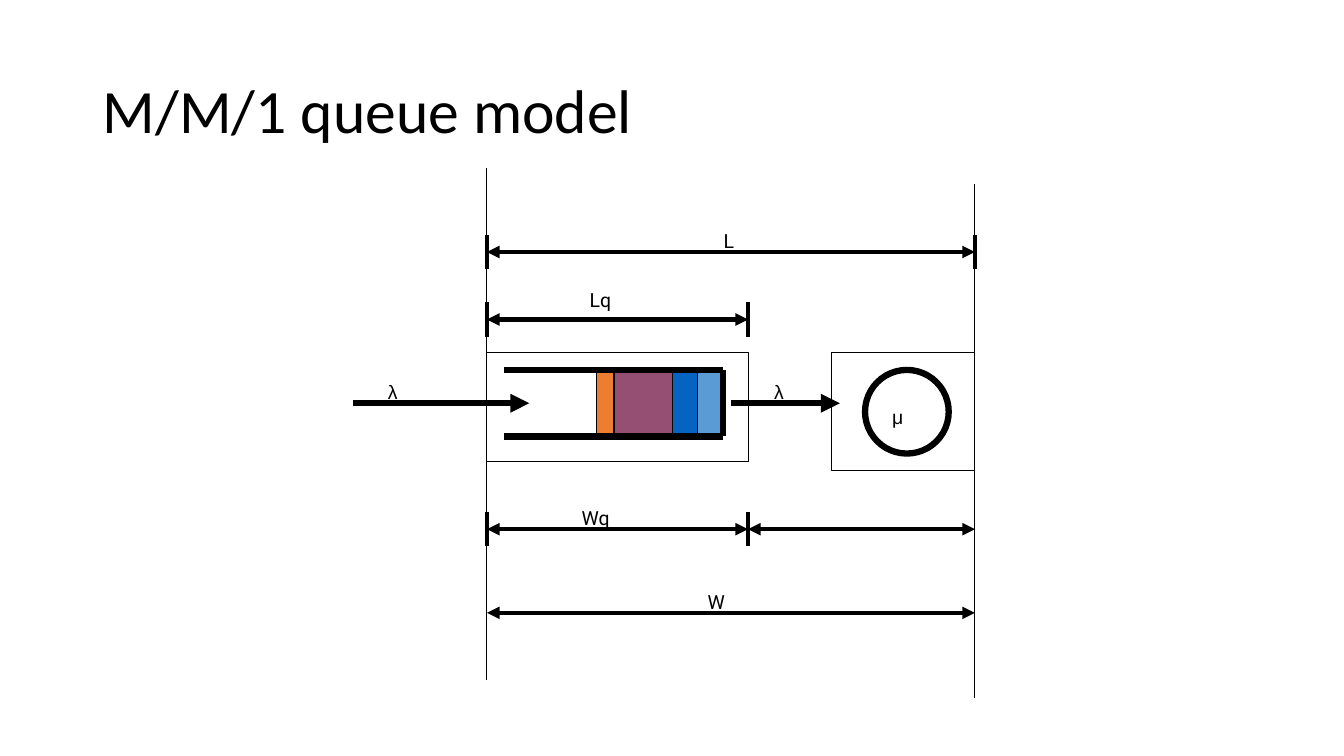
from dataclasses import dataclass

from lxml import etree
from pptx import Presentation
from pptx import util as u
from pptx.dml.color import RGBColor
from pptx.enum import shapes, text
from pptx.oxml.ns import qn


@dataclass(frozen=True)
class Theme:
    """Colours, fonts, type sizes and line widths of the slide."""
    ink: str = "000000"
    jobs: tuple = ("ED7D31", "954F72", "0563C1", "5B9BD5")
    title_font: str = "Calibri"
    greek_font: str = "Arial"
    label_font: str = "Roboto"
    title_size: float = 44
    label_size: float = 24
    thin: float = 0.75
    medium: float = 3
    thick: float = 4.5


THEME = Theme()
LEFT, MIDDLE, RIGHT = 4.83, 7.42, 9.67


def add_run(p, words, size=THEME.label_size, font=THEME.label_font, color=THEME.ink, baseline=None):
    """Add formatted text to a paragraph."""
    r = p.add_run()
    r.text = words
    r.font.size = u.Pt(size)
    r.font.name = font
    r.font.color.rgb = RGBColor.from_string(color)
    if baseline is not None:
        r.font._element.set("baseline", str(baseline))


def add_label(s, words, x, y, w=0.5, h=0.5, wrap=False, **fmt):
    """Add a lowered label in a text box that fits its text."""
    tf = s.shapes.add_textbox(*map(u.Inches, (x, y, w, h))).text_frame
    tf.word_wrap = wrap
    tf.auto_size = text.MSO_AUTO_SIZE.SHAPE_TO_FIT_TEXT
    add_run(tf.paragraphs[0], words, baseline=-25000, **fmt)


def add_greek(s, letter, x, y):
    """Add a Greek rate symbol."""
    add_label(s, letter, x, y, wrap=True, font=THEME.greek_font)


def add_line(s, x1, y1, x2, y2, width=THEME.medium, ends=()):
    """Add a straight line with triangles at the named ends."""
    c = s.shapes.add_connector(shapes.MSO_CONNECTOR.STRAIGHT, *map(u.Inches, (x1, y1, x2, y2)))
    c.line.color.rgb = RGBColor.from_string(THEME.ink)
    c.line.width = u.Pt(width)
    ln = c.line._get_or_add_ln()
    for end in ends:
        etree.SubElement(ln, qn(f"a:{end}"), type="triangle")
    etree.SubElement(c._element.spPr, qn("a:effectLst"))


def add_outline(s, kind, x, y, w, h, width=THEME.thin, fill=None):
    """Add a preset shape with a black outline and an optional fill."""
    sp = s.shapes.add_shape(kind, *map(u.Inches, (x, y, w, h)))
    sp.shadow.inherit = False
    if fill:
        sp.fill.solid()
        sp.fill.fore_color.rgb = RGBColor.from_string(fill)
    else:
        sp.fill.background()
    sp.line.color.rgb = RGBColor.from_string(THEME.ink)
    sp.line.width = u.Pt(width)


def add_title(s, words, x, y, w, h):
    """Place and format the title placeholder."""
    sp = s.shapes.title
    sp.left, sp.top, sp.width, sp.height = map(u.Inches, (x, y, w, h))
    tf = sp.text_frame
    tf.vertical_anchor = text.MSO_ANCHOR.MIDDLE
    p = tf.paragraphs[0]
    p.alignment = text.PP_ALIGN.LEFT
    p.line_spacing = 0.9
    add_run(p, words, size=THEME.title_size, font=THEME.title_font)


def add_queue(s, x, y, w, h):
    """Draw the waiting line with its jobs inside a box."""
    top, bottom = y + 0.17, y + 0.83
    start, end = x + 0.17, x + 2.34
    job_x = x + 1.09
    for job_w, color in zip((0.17, 0.58, 0.25, 0.25), THEME.jobs):
        add_outline(s, shapes.MSO_SHAPE.RECTANGLE, job_x, top, job_w, bottom - top, fill=color)
        job_x += job_w
    for rail_y in (top, bottom):
        add_line(s, start, rail_y, end, rail_y, THEME.thick)
    add_line(s, end, top, end, bottom, THEME.thick)
    add_outline(s, shapes.MSO_SHAPE.RECTANGLE, x, y, w, h)


def add_server(s, x, y, w, h):
    """Draw the server circle with its service rate inside a box."""
    add_outline(s, shapes.MSO_SHAPE.OVAL, x + 0.33, y + 0.17, 0.83, 0.83, THEME.thick)
    add_outline(s, shapes.MSO_SHAPE.RECTANGLE, x, y, w, h)
    add_greek(s, "μ", x + 0.5, y + 0.25)


def add_flow(s, x1, x2, y, label_x):
    """Draw an arrow of jobs with its arrival rate."""
    add_line(s, x1, y, x2, y, THEME.thick, ["tailEnd"])
    add_greek(s, "λ", label_x, y - 0.5)


def add_span(s, x1, x2, y, ticks=(), label=None):
    """Draw a dimension arrow with end ticks and an optional label."""
    add_line(s, x1, y, x2, y, ends=["headEnd", "tailEnd"])
    for x in ticks:
        add_line(s, x, y - 0.17, x, y + 0.17)
    if label:
        words, label_x, label_y, label_w = label
        add_label(s, words, label_x, label_y, label_w)


def main():
    """Build and save the queue model slide."""
    prs = Presentation()
    prs.slide_width, prs.slide_height = u.Inches(13.33), u.Inches(7.5)
    s = prs.slides.add_slide(prs.slide_layouts[5])
    add_title(s, "M/M/1 queue model", 0.92, 0.4, 11.5, 1.45)
    add_queue(s, LEFT, 3.5, MIDDLE - LEFT, 1.08)
    add_server(s, 8.25, 3.5, RIGHT - 8.25, 1.17)
    add_flow(s, 3.5, 5.25, 4, 3.75)
    add_flow(s, 7.25, 8.33, 4, 7.58)
    add_span(s, LEFT, RIGHT, 2.5, (LEFT, RIGHT), ("L", 7.08, 2, 0.37))
    add_span(s, LEFT, MIDDLE, 3.17, (LEFT, MIDDLE), ("Lq", 5.75, 2.58, 0.49))
    add_span(s, LEFT, MIDDLE, 5.25, (LEFT, MIDDLE), ("Wq", 5.67, 4.75, 0.62))
    add_span(s, MIDDLE, RIGHT, 5.25)
    add_span(s, LEFT, RIGHT, 6.08, label=("W", 6.92, 5.58, 0.5))
    for x, top, bottom in ((LEFT, 1.67, 6.75), (RIGHT, 1.83, 6.92)):
        add_line(s, x, top, x, bottom, THEME.thin)
    prs.save("out.pptx")


if __name__ == "__main__":
    main()
